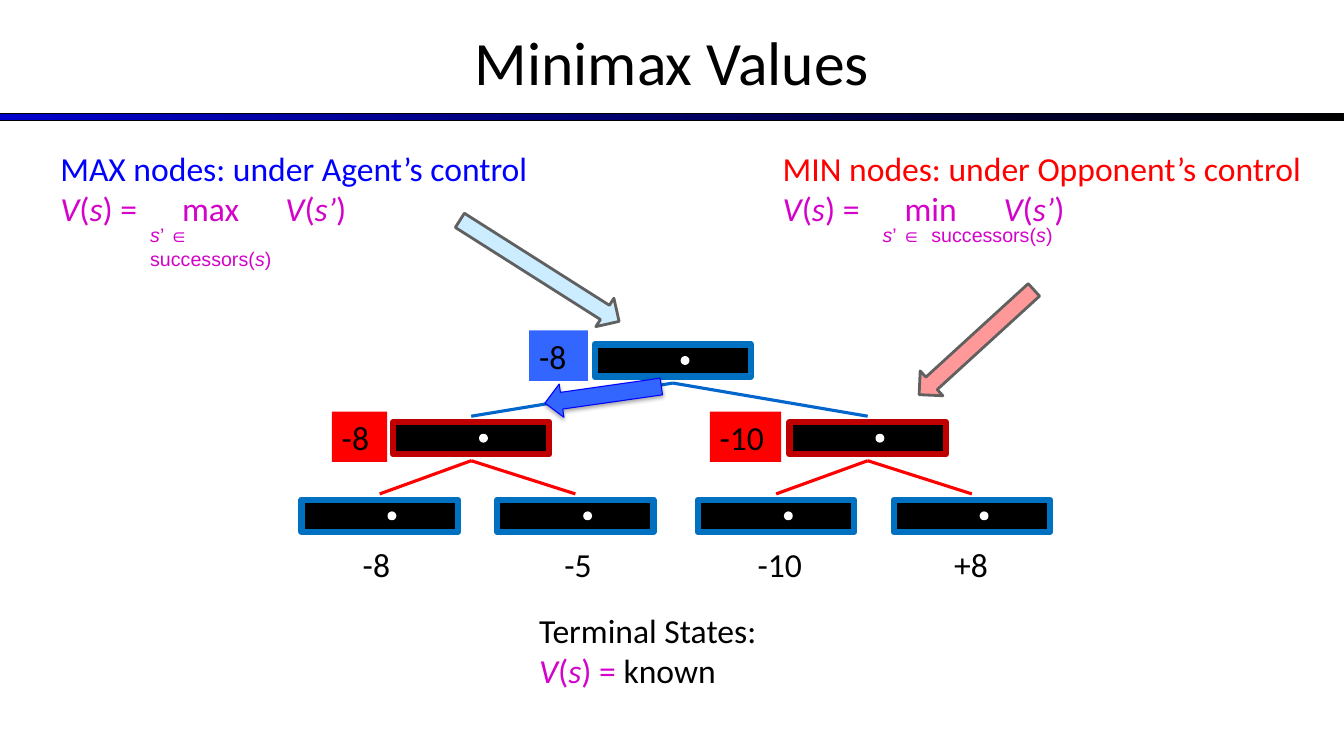
from dataclasses import dataclass

from lxml.etree import SubElement
from pptx import Presentation
from pptx.dml.color import RGBColor
from pptx.enum.shapes import MSO_CONNECTOR, MSO_SHAPE
from pptx.enum.text import MSO_ANCHOR, PP_ALIGN
from pptx.oxml.ns import qn
from pptx.util import Inches, Pt

COLUMNS, ROWS = 160, 90
WIDTH, HEIGHT = Inches(13.333), Inches(7.5)
NODE_WIDTH, NODE_HEIGHT = 18.6, 3.84
LEVEL_TOP, LEVEL_STEP = 41, 9.25


@dataclass(frozen=True)
class Theme:
    black: str = "000000"
    white: str = "FFFFFF"
    bar_blue: str = "0000CC"
    max_text: str = "0000FF"
    max_border: str = "0070C0"
    max_edge: str = "0066CC"
    max_value: str = "3366FF"
    max_pointer: str = "CCECFF"
    red: str = "FF0000"
    min_border: str = "C00000"
    min_pointer: str = "FF9999"
    pointer_border: str = "606060"
    formula: str = "D303CA"
    font: str = "Calibri"
    range_font: str = "Arial"
    title_size: int = 44
    body_size: int = 24
    range_size: int = 14


THEME = Theme()


def across(columns):
    return int(WIDTH * columns / COLUMNS)


def down(rows):
    return int(HEIGHT * rows / ROWS)


def cells(left, top, width, height):
    return across(left), down(top), across(width), down(height)


def color(value):
    return RGBColor.from_string(value)


def apply_format(target, values):
    for name, value in values.items():
        setattr(target, name, value)


def set_line(item, value, points):
    item.line.color.rgb = color(value)
    item.line.width = Pt(points)


def add_tabs(para, stops):
    tab_list = SubElement(para._p.get_or_add_pPr(), qn("a:tabLst"))
    for stop in stops:
        SubElement(tab_list, qn("a:tab"), pos=str(across(stop)), algn="l")


def write(shape, paragraphs, size=THEME.body_size, font=THEME.font, tabs=(),
          frame_format=None, **para_format):
    """Fill a shape; each paragraph lists (markup, colour), *...* being italic."""
    frame = shape.text_frame
    apply_format(frame, {"word_wrap": True, "vertical_anchor": MSO_ANCHOR.TOP}
                 | (frame_format or {}))
    for index, spans in enumerate(paragraphs):
        para = frame.add_paragraph() if index else frame.paragraphs[0]
        if tabs:
            add_tabs(para, tabs)
        apply_format(para, {"alignment": PP_ALIGN.LEFT} | para_format)
        for markup, ink in spans:
            for position, text in enumerate(markup.split("*")):
                if text:
                    span = para.add_run()
                    span.text = text
                    apply_format(span.font, {"name": font, "size": Pt(size),
                                             "italic": position % 2 == 1})
                    span.font.color.rgb = color(ink)


def add_text(page, area, paragraphs, **options):
    write(page.shapes.add_textbox(*cells(*area)), paragraphs, **options)


def add_block(page, kind, area, fill, border=None, points=0, rotation=0):
    block = page.shapes.add_shape(kind, *cells(*area))
    block.shadow.inherit = False
    block.rotation = rotation
    block.fill.solid()
    block.fill.fore_color.rgb = color(fill)
    if border:
        set_line(block, border, points)
    else:
        block.line.fill.background()
    return block


def add_title(page, text):
    bar = add_block(page, MSO_SHAPE.RECTANGLE, (0, 13.55, COLUMNS, 0.84),
                    THEME.bar_blue, THEME.black, 0.75)
    bar.fill.gradient()
    bar.fill.gradient_angle = 0
    for stop, (position, ink) in zip(bar.fill.gradient_stops,
                                     ((0, THEME.bar_blue), (1, THEME.black))):
        stop.position = position
        stop.color.rgb = color(ink)
    add_text(page, (0, -0.3, COLUMNS, 15), [[(text, THEME.black)]],
             size=THEME.title_size, alignment=PP_ALIGN.CENTER,
             frame_format={"vertical_anchor": MSO_ANCHOR.MIDDLE})


def add_node(page, center, level, border):
    top = LEVEL_TOP + level * LEVEL_STEP
    add_block(page, MSO_SHAPE.RECTANGLE,
              (center - NODE_WIDTH / 2, top, NODE_WIDTH, NODE_HEIGHT),
              THEME.black, border, 4.5)
    add_block(page, MSO_SHAPE.OVAL, (center + 1.1, top + 1.56, 0.72, 0.72),
              THEME.white, THEME.white, 2)


def add_edge(page, parent, child, level, ink):
    top = LEVEL_TOP + level * LEVEL_STEP
    edge = page.shapes.add_connector(
        MSO_CONNECTOR.STRAIGHT, across(parent), down(top + 4.6),
        across(child), down(top + LEVEL_STEP - 0.7))
    set_line(edge, ink, 2.25)
    SubElement(edge._element.spPr, qn("a:effectLst"))


def add_tree(page):
    root = 80.1
    add_node(page, root, 0, THEME.max_border)
    for branch in (root - 24, root + 23.2):
        add_edge(page, root, branch, 0, THEME.max_edge)
        add_node(page, branch, 1, THEME.min_border)
        for leaf in (branch - 10.9, branch + 12.4):
            add_edge(page, branch, leaf, 1, THEME.red)
            add_node(page, leaf, 2, THEME.max_border)
    for left, value in ((42, "-8"), (66, "-5"), (89, "-10"), (112.4, "+8")):
        add_text(page, (left, 64.2, 8.5, 6), [[(value, THEME.black)]])


def add_value(page, left, top, width, value, fill):
    block = add_block(page, MSO_SHAPE.RECTANGLE, (left, top, width, 6), fill)
    write(block, [[(value, THEME.black)]], space_after=Pt(6))


def add_arrow(page, left, top, length, rotation, fill, border, points):
    return add_block(page, MSO_SHAPE.RIGHT_ARROW, (left, top, length, 4),
                     fill, border, points, rotation)


def add_soft_shadow(shape):
    effects = shape._element.spPr.find(qn("a:effectLst"))
    shadow = SubElement(effects, qn("a:outerShdw"), blurRad=str(Pt(3.1)),
                        dist=str(Pt(1.8)), dir="5400000", rotWithShape="0")
    ink = SubElement(shadow, qn("a:srgbClr"), val=THEME.black)
    SubElement(ink, qn("a:alpha"), val="35000")


def add_rule(page, left, width, heading, ink, operator, last_tab, range_left, range_lines):
    """Add a player's heading, value formula and the range below its operator."""
    formula = f"*V*(*s*) =\t{operator}\t*V*(*s’*)"
    add_text(page, (left, 17, width, 11), [[(heading, ink)], [(formula, THEME.formula)]],
             tabs=(14.5, last_tab))
    add_text(page, (range_left, 26, 25, 4),
             [[(line, THEME.formula)] for line in range_lines],
             size=THEME.range_size, font=THEME.range_font, tabs=(5.8,))


def main():
    deck = Presentation()
    apply_format(deck, {"slide_width": WIDTH, "slide_height": HEIGHT})
    page = deck.slides.add_slide(deck.slide_layouts[6])
    add_title(page, "Minimax Values")
    add_tree(page)
    add_arrow(page, 53, 30.25, 22.45, 32.4, THEME.max_pointer, THEME.pointer_border, 2)
    add_arrow(page, 107, 38.75, 18.5, 137.6, THEME.min_pointer, THEME.pointer_border, 2)
    add_value(page, 39.5, 49, 6.6, "-8", THEME.red)
    add_value(page, 84.5, 49, 8.5, "-10", THEME.red)
    add_value(page, 63, 39.35, 7, "-8", THEME.max_value)
    add_soft_shadow(add_arrow(page, 64.8, 45, 14, 171.9,
                              THEME.max_value, THEME.max_text, 0.75))
    add_rule(page, 6, 61, "MAX nodes: under Agent’s control", THEME.max_text,
             "max", 26.8, 16.7, ["*s*’ ∈", "successors(*s*)"])
    add_rule(page, 92, 68, "MIN nodes: under Opponent’s control", THEME.red,
             "min", 26.3, 103.9, ["*s*’ ∈\tsuccessors(*s*)"])
    add_text(page, (63, 72, 37, 11),
             [[("Terminal States:", THEME.black)],
              [("*V*(*s*) = ", THEME.formula), ("known", THEME.black)]])
    deck.save("out.pptx")


if __name__ == "__main__":
    main()
